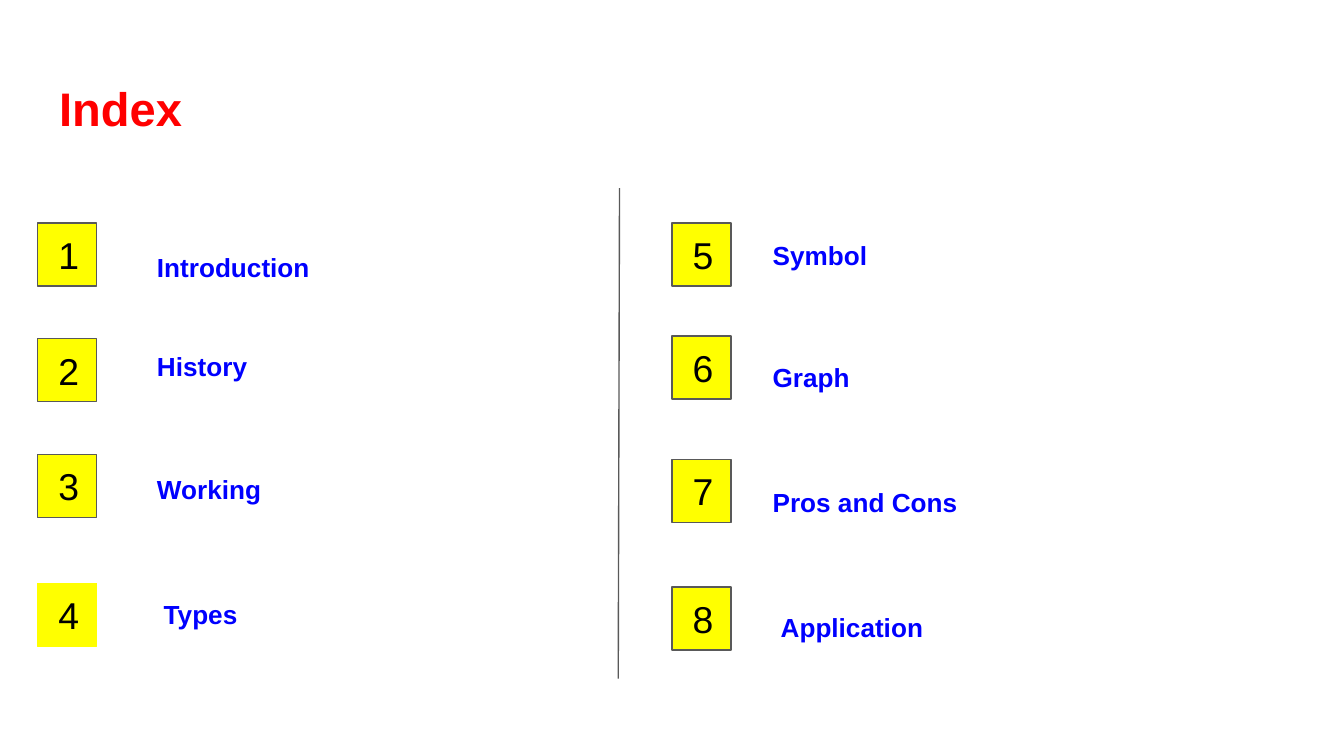
from lxml import etree
from pptx import Presentation
from pptx.dml.color import RGBColor
from pptx.enum.shapes import MSO_CONNECTOR, MSO_SHAPE
from pptx.enum.text import MSO_ANCHOR, MSO_AUTO_SIZE, PP_ALIGN
from pptx.oxml.ns import qn
from pptx.util import Pt

RECT, STRAIGHT = MSO_SHAPE.RECTANGLE, MSO_CONNECTOR.STRAIGHT
TOP, MIDDLE = MSO_ANCHOR.TOP, MSO_ANCHOR.MIDDLE
LEFT = PP_ALIGN.LEFT
FIT_SHAPE, NO_FIT = MSO_AUTO_SIZE.SHAPE_TO_FIT_TEXT, MSO_AUTO_SIZE.NONE

RED = RGBColor(0xFF, 0x00, 0x00)
BLUE = RGBColor(0x00, 0x00, 0xFF)
YELLOW = RGBColor(0xFF, 0xFF, 0x00)
GRAY = RGBColor(0x59, 0x59, 0x59)
BLACK = RGBColor(0x00, 0x00, 0x00)

FONT = "Arial"
INSET = 7.2
LINE_WIDTH = 0.75
BOX_W, BOX_H = 31.7, 33.8
LABEL_W, LABEL_H = 402.5, 31.7

# Per column: box left, then (box top, label left, label top, label, outline)
COLUMNS = [
    (20.2, [
        (119.5, 77, 127.4, "Introduction", GRAY),
        (181.4, 77, 180.7, "History", GRAY),
        (243.4, 77, 246.2, "Working", GRAY),
        (312.5, 80.6, 313.2, "Types", YELLOW),
    ]),
    (360, [
        (119.5, 406.8, 121, "Symbol", GRAY),
        (180, 406.8, 186.5, "Graph", GRAY),
        (246.2, 406.8, 253.4, "Pros and Cons", GRAY),
        (314.6, 411.1, 320.4, "Application", GRAY),
    ]),
]


def write(tf, text, size=14, color=BLACK, bold=False, anchor=TOP,
          left=INSET, fit=NO_FIT):
    tf.word_wrap = True
    tf.auto_size = fit
    tf.vertical_anchor = anchor
    tf.margin_left = Pt(left)
    tf.margin_top = tf.margin_right = tf.margin_bottom = Pt(INSET)
    p = tf.paragraphs[0]
    p.alignment = LEFT
    p.line_spacing = 1.0
    p.space_before = Pt(0)
    r = p.add_run()
    r.text = text
    r.font.name = FONT
    r.font.size = Pt(size)
    r.font.bold = bold
    r.font.color.rgb = color


class IndexSlide:
    def __init__(self, prs):
        self.s = prs.slides.add_slide(prs.slide_layouts[5])

    def title(self, text, x, y, w, h):
        sp = self.s.shapes.title
        sp.left, sp.top, sp.width, sp.height = Pt(x), Pt(y), Pt(w), Pt(h)
        write(sp.text_frame, text, size=25.2, color=RED, bold=True)

    def divider(self, x1, y1, x2, y2):
        c = self.s.shapes.add_connector(STRAIGHT, Pt(x1), Pt(y1), Pt(x2), Pt(y2))
        c.line.color.rgb = GRAY
        c.line.width = Pt(LINE_WIDTH)
        etree.SubElement(c._element.spPr, qn("a:effectLst"))

    def number_box(self, number, x, y, outline):
        sp = self.s.shapes.add_shape(RECT, Pt(x), Pt(y), Pt(BOX_W), Pt(BOX_H))
        sp.shadow.inherit = False
        sp.fill.solid()
        sp.fill.fore_color.rgb = YELLOW
        sp.line.color.rgb = outline
        sp.line.width = Pt(LINE_WIDTH)
        write(sp.text_frame, str(number), size=20, anchor=MIDDLE, left=11.1)

    def label(self, text, x, y):
        sp = self.s.shapes.add_textbox(Pt(x), Pt(y), Pt(LABEL_W), Pt(LABEL_H))
        write(sp.text_frame, text, color=BLUE, bold=True, fit=FIT_SHAPE)


def main():
    prs = Presentation()
    prs.slide_width, prs.slide_height = Pt(720), Pt(405)
    slide = IndexSlide(prs)
    slide.title("Index", 24.5, 35.3, 671, 45.4)
    slide.divider(331.9, 100.8, 331.2, 363.6)
    number = 0
    for box_x, entries in COLUMNS:
        for box_y, label_x, label_y, text, outline in entries:
            number += 1
            slide.number_box(number, box_x, box_y, outline)
            slide.label(text, label_x, label_y)
    prs.save("out.pptx")


if __name__ == "__main__":
    main()
